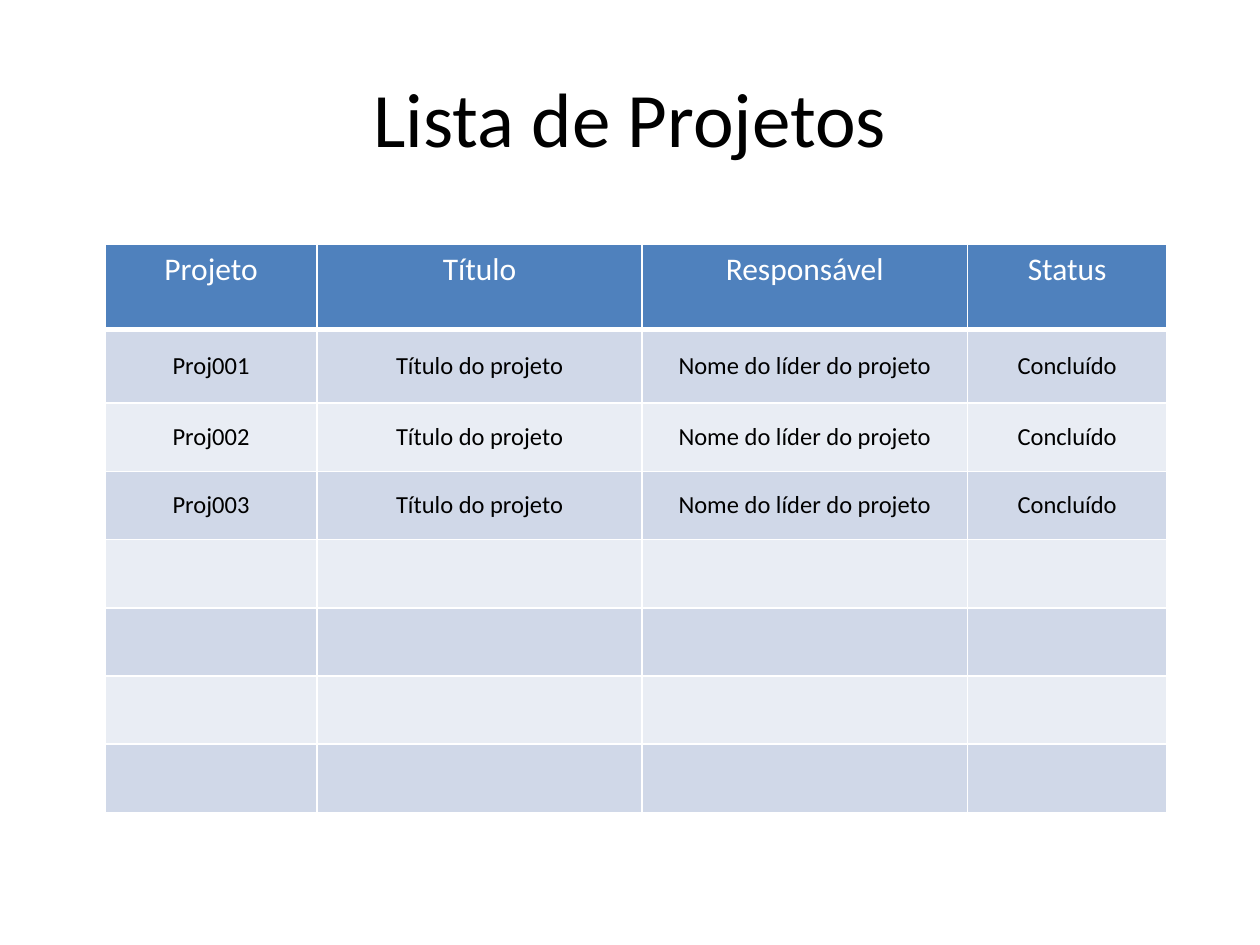
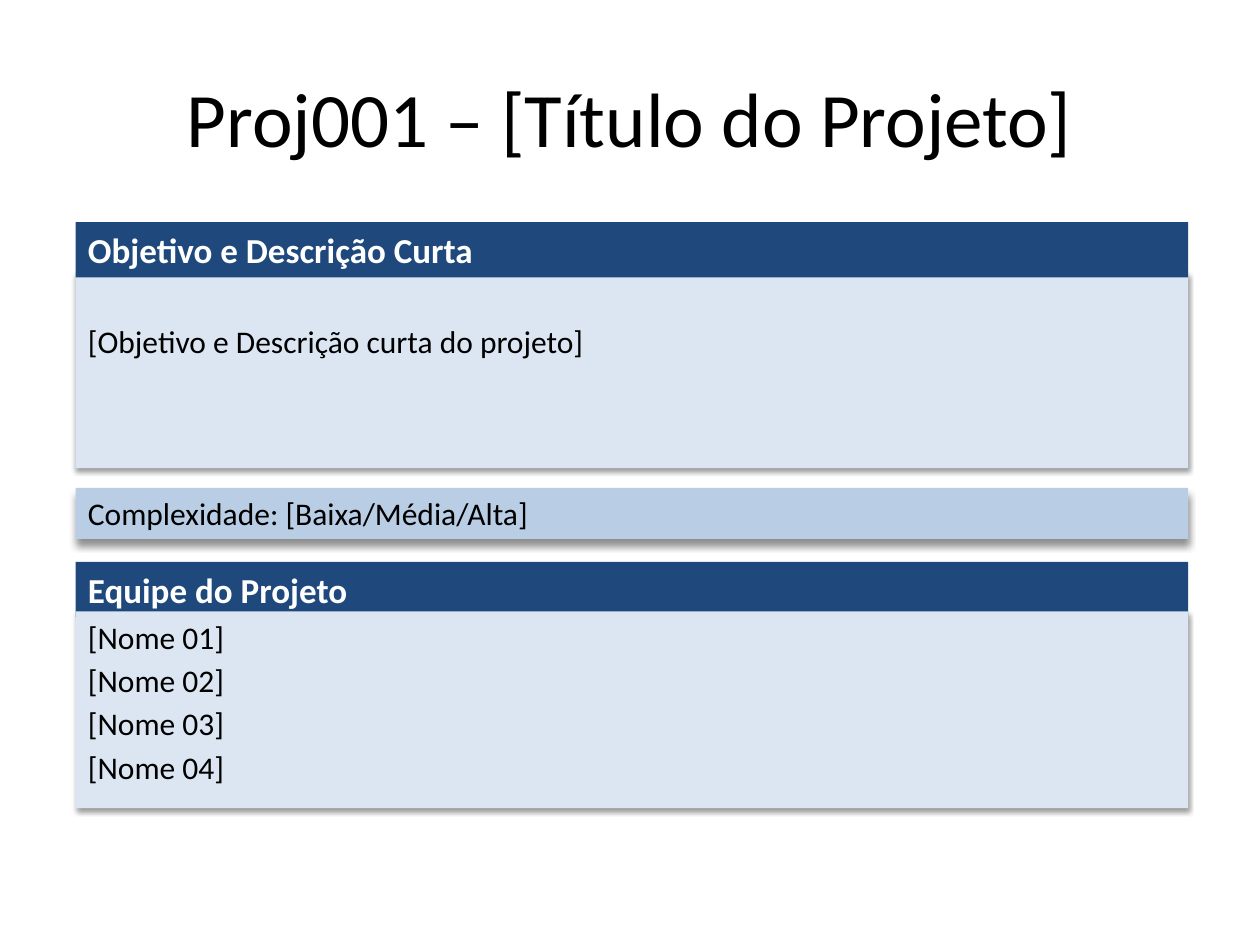
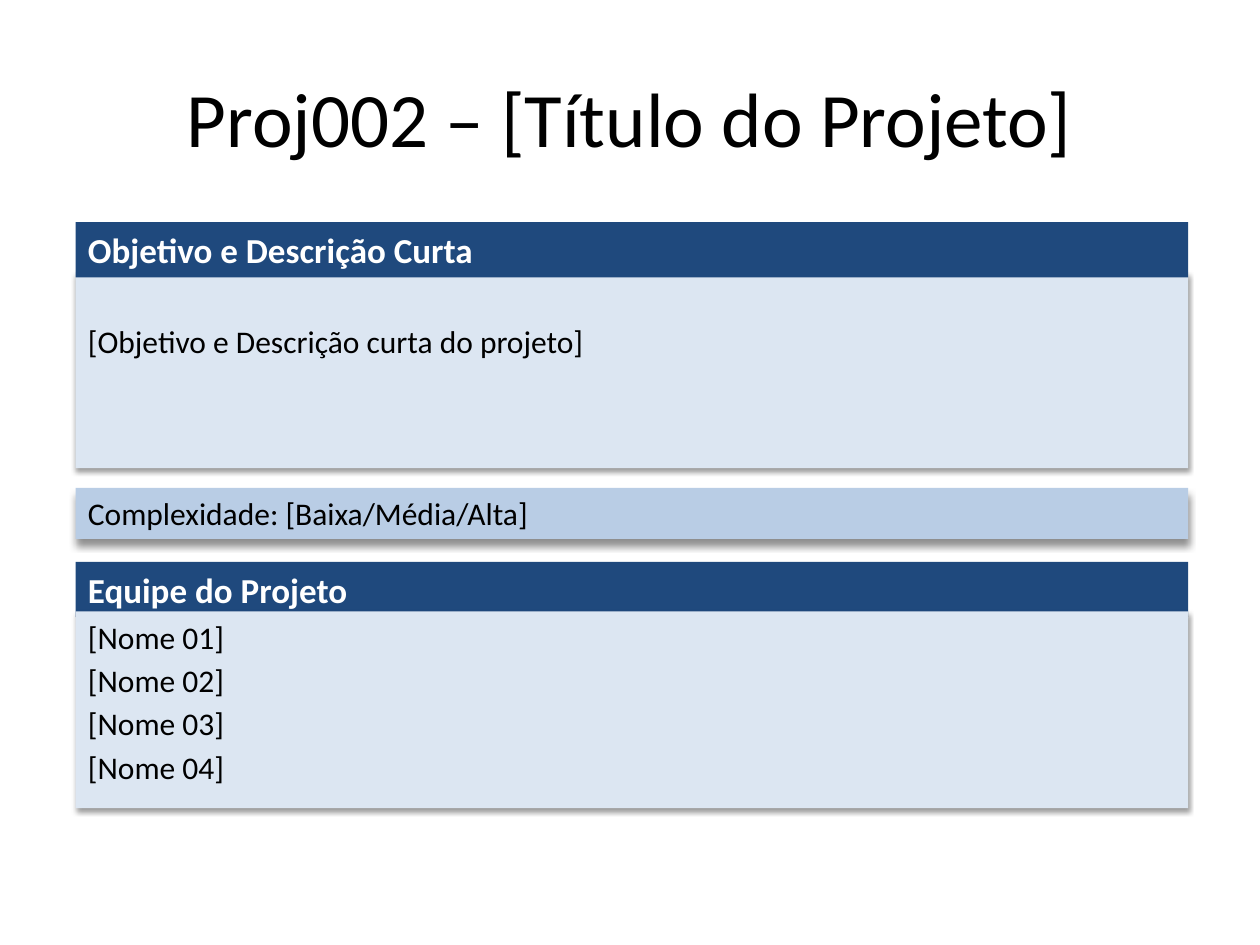
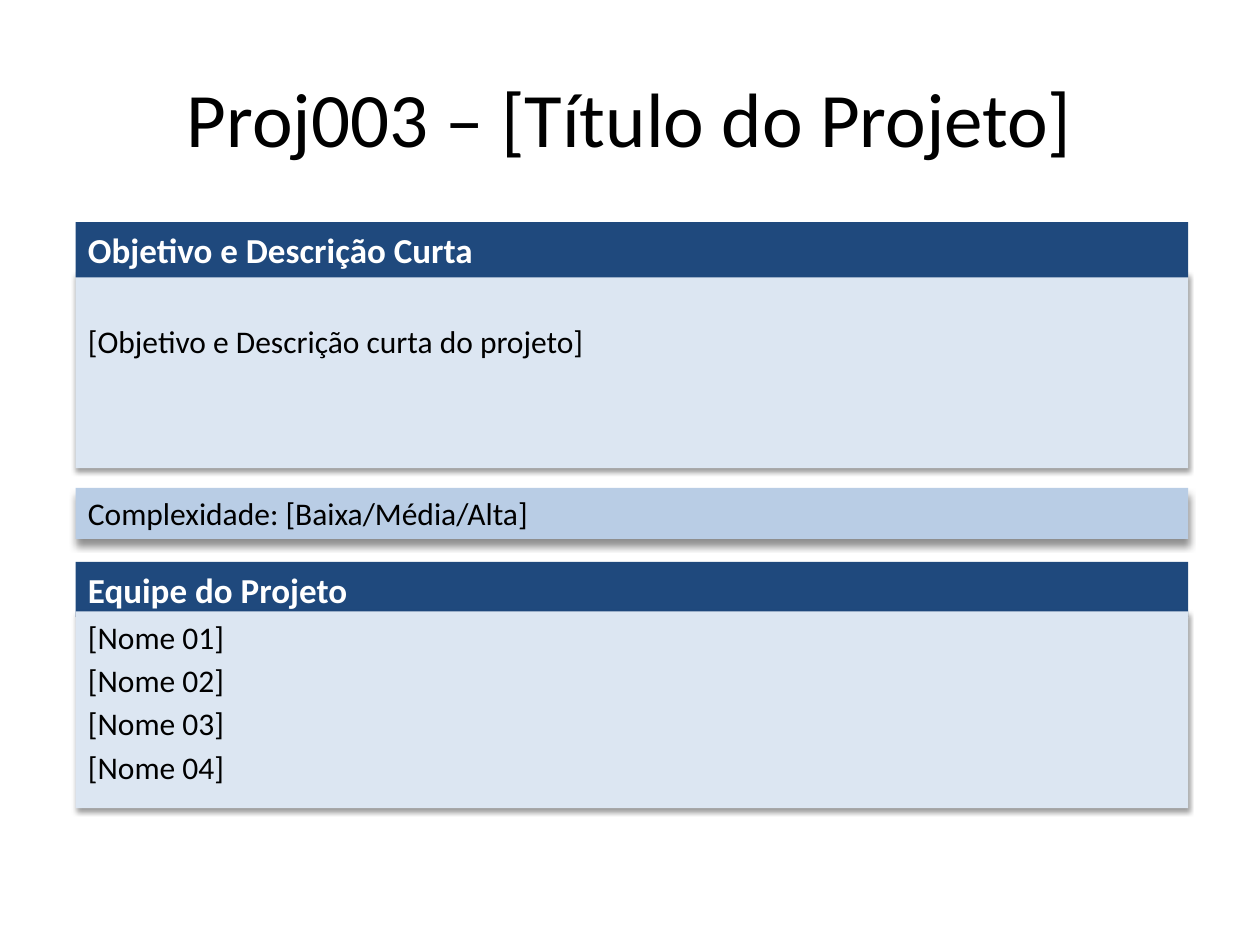
from dataclasses import dataclass
from lxml import etree
from pptx import Presentation
from pptx.dml.color import RGBColor
from pptx.enum.shapes import MSO_SHAPE
from pptx.enum.text import MSO_ANCHOR, PP_ALIGN
from pptx.oxml.ns import qn
from pptx.util import Pt

RECT = MSO_SHAPE.RECTANGLE
TOP, MIDDLE = MSO_ANCHOR.TOP, MSO_ANCHOR.MIDDLE
LEFT, CENTER = PP_ALIGN.LEFT, PP_ALIGN.CENTER


@dataclass(frozen=True)
class Theme:
    font: str = "Calibri"
    black: str = "000000"
    white: str = "FFFFFF"
    navy: str = "1F497D"
    blue: str = "4F81BD"
    sky: str = "B9CDE5"
    pale: str = "DCE6F2"
    odd: str = "D0D8E8"
    even: str = "E9EDF4"
    title: int = 44
    head: int = 20
    body: int = 18
    cell: int = 14


THEME = Theme()
SOFT = (38, 3.1, 1.6)
DEEP = (43, 4, 4)
EDGE, WIDE = 43.2, 635.8
CODES = ["Proj001", "Proj002", "Proj003"]
HEADS = ["Projeto", "Título", "Responsável", "Status"]
COLS = [121.2, 185.8, 185.8, 114.2]
ROWS = [48.6, 42] + [39] * 6


def rgb(code):
    return RGBColor.from_string(code)


def write(frame, lines, size, color, align=LEFT, bold=False, gap=0):
    for i, line in enumerate(lines):
        para = frame.paragraphs[0] if i == 0 else frame.add_paragraph()
        para.text = line
        para.alignment = align
        if i:
            para.space_before = Pt(gap)
        font = para.font
        font.name, font.size, font.bold = THEME.font, Pt(size), bold
        font.color.rgb = rgb(color)


def add_title(slide, text):
    box = slide.shapes.add_textbox(Pt(36), Pt(21.6), Pt(648), Pt(90))
    frame = box.text_frame
    frame.word_wrap = True
    frame.vertical_anchor = MIDDLE
    write(frame, [text], THEME.title, THEME.black, CENTER)


def add_shade(shape, shade):
    alpha, blur, dist = shade
    effects = shape._element.spPr.find(qn("a:effectLst"))
    outer = etree.SubElement(
        effects, qn("a:outerShdw"), blurRad=str(Pt(blur)),
        dist=str(Pt(dist)), dir="5400000", rotWithShape="0")
    tint = etree.SubElement(outer, qn("a:srgbClr"), val=THEME.black)
    etree.SubElement(tint, qn("a:alpha"), val=str(alpha * 1000))


def add_panel(slide, top, height, fill, lines, size=THEME.body,
              color=THEME.black, bold=False, gap=0, inset=3.6, shade=None):
    shape = slide.shapes.add_shape(RECT, Pt(EDGE), Pt(top), Pt(WIDE), Pt(height))
    shape.shadow.inherit = False
    shape.fill.solid()
    shape.fill.fore_color.rgb = rgb(fill)
    shape.line.fill.background()
    if shade:
        add_shade(shape, shade)
    frame = shape.text_frame
    frame.word_wrap = True
    frame.vertical_anchor = TOP
    frame.margin_top = Pt(inset)
    write(frame, lines, size, color, bold=bold, gap=gap)


def add_band(slide, top, text):
    add_panel(slide, top, 31.6, THEME.navy, [text], THEME.head, THEME.white, bold=True)


def set_edges(cell, base):
    props = cell._tc.get_or_add_tcPr()
    for side, width in (("L", 1), ("R", 1), ("T", 1), ("B", base)):
        line = etree.SubElement(props, qn("a:ln" + side), w=str(Pt(width)))
        fill = etree.SubElement(line, qn("a:solidFill"))
        etree.SubElement(fill, qn("a:srgbClr"), val=THEME.white)


def add_grid(slide, data):
    frame = slide.shapes.add_table(
        len(ROWS), len(COLS), Pt(60), Pt(139.8), Pt(sum(COLS)), Pt(sum(ROWS)))
    table = frame.table
    table.first_row = table.horz_banding = False
    for col, width in zip(table.columns, COLS):
        col.width = Pt(width)
    for r, height in enumerate(ROWS):
        table.rows[r].height = Pt(height)
        head = r == 0
        fill = THEME.blue if head else THEME.odd if r % 2 else THEME.even
        for c in range(len(COLS)):
            cell = table.cell(r, c)
            set_edges(cell, 3 if head else 1)
            cell.fill.solid()
            cell.fill.fore_color.rgb = rgb(fill)
            cell.vertical_anchor = TOP if head else MIDDLE
            if r < len(data):
                write(cell.text_frame, [data[r][c]],
                      THEME.body if head else THEME.cell,
                      THEME.white if head else THEME.black, CENTER)


def add_list(slide):
    add_title(slide, "Lista de Projetos")
    rows = [[code, "Título do projeto", "Nome do líder do projeto", "Concluído"]
            for code in CODES]
    add_grid(slide, [HEADS] + rows)


def add_project(slide, code):
    add_title(slide, f"{code} – [Título do Projeto]")
    add_panel(slide, 155.4, 112.2, THEME.pale,
              ["[Objetivo e Descrição curta do projeto]"], inset=28.8, shade=SOFT)
    add_band(slide, 126.9, "Objetivo e Descrição Curta")
    add_panel(slide, 278.8, 29.1, THEME.sky,
              ["Complexidade: [Baixa/Média/Alta]"], shade=DEEP)
    add_band(slide, 321.1, "Equipe do Projeto")
    names = [f"[Nome {n:02}]" for n in range(1, 5)]
    add_panel(slide, 349.4, 112.4, THEME.pale, names, gap=3.2, shade=SOFT)


def main():
    deck = Presentation()
    deck.slide_width, deck.slide_height = Pt(720), Pt(540)
    blank = deck.slide_layouts[6]
    add_list(deck.slides.add_slide(blank))
    for code in CODES:
        add_project(deck.slides.add_slide(blank), code)
    deck.save("out.pptx")


main()
